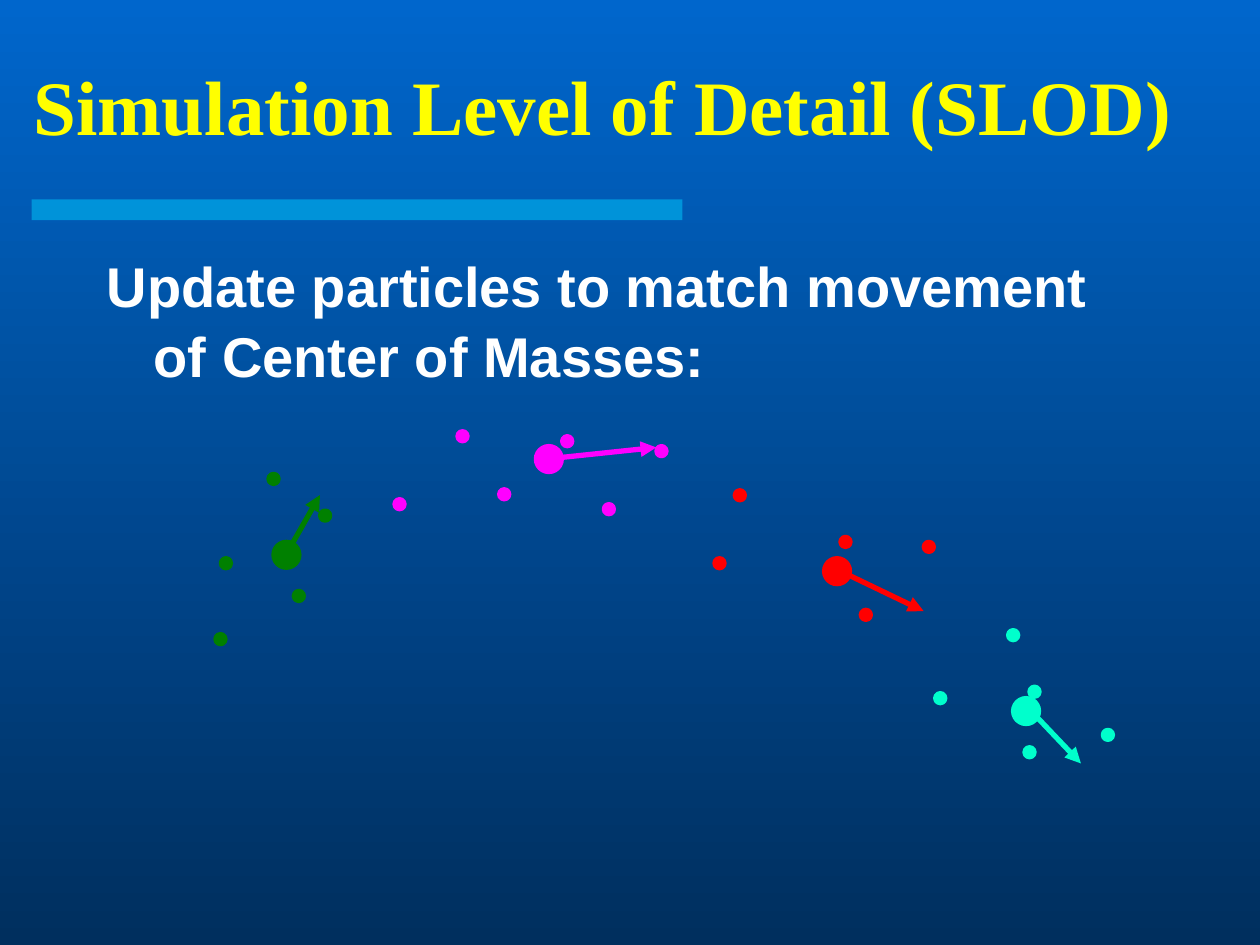
from dataclasses import dataclass

from lxml.etree import SubElement
from pptx import Presentation
from pptx.dml.color import RGBColor
from pptx.enum.shapes import MSO_CONNECTOR, MSO_SHAPE
from pptx.enum.text import MSO_ANCHOR
from pptx.oxml.ns import qn
from pptx.slide import Slide
from pptx.util import Cm, Pt

COLORS = {
    "sky": "0066CC",
    "deep": "002F5E",
    "bar": "00CCFF",
    "title": "FFFF00",
    "body": "FFFFFF",
    "green": "008000",
    "magenta": "FF00FF",
    "red": "FF0000",
    "aqua": "00FFCC",
}
PARTICLE_SIZE = 0.21
MASS_SIZE = 0.53

Point = tuple[float, float]


@dataclass(frozen=True)
class Cluster:
    color: str
    particles: list[Point]
    mass: Point
    arrow_start: Point
    arrow_end: Point


CLUSTERS = [
    Cluster("green",
            [(5.41, 9.55), (6.45, 10.29), (4.45, 11.25), (5.92, 11.91), (4.34, 12.78)],
            (5.51, 10.92), (5.84, 11.05), (6.45, 9.98)),
    Cluster("magenta",
            [(7.95, 10.06), (9.22, 8.69), (10.06, 9.86), (11.33, 8.79), (13.23, 8.99),
             (12.17, 10.16)],
            (10.8, 8.99), (11.33, 9.22), (13.23, 9.02)),
    Cluster("red",
            [(14.81, 9.88), (14.4, 11.25), (16.94, 10.82), (18.62, 10.92), (17.35, 12.29)],
            (16.61, 11.25), (17.04, 11.56), (18.62, 12.32)),
    Cluster("aqua",
            [(20.32, 12.7), (18.85, 13.97), (20.75, 13.84), (20.65, 15.06), (22.23, 14.71)],
            (20.42, 14.07), (20.85, 14.4), (21.79, 15.39)),
]


def rgb(name: str) -> RGBColor:
    return RGBColor.from_string(COLORS[name])


def paint_background(slide: Slide) -> None:
    fill = slide.background.fill
    fill.gradient()
    fill.gradient_angle = 270
    for stop, name, position in zip(fill.gradient_stops, ("sky", "deep"), (0, 1)):
        stop.color.rgb = rgb(name)
        stop.position = position


def add_bar(slide: Slide) -> None:
    bar = slide.shapes.add_shape(MSO_SHAPE.RECTANGLE, Cm(0.64), Cm(4.02), Cm(13.12), Cm(0.42))
    bar.shadow.inherit = False
    bar.fill.solid()
    bar.fill.fore_color.rgb = rgb("bar")
    bar.line.fill.background()
    color = bar.fill._xPr.find(qn("a:solidFill")).find(qn("a:srgbClr"))
    SubElement(color, qn("a:alpha"), val="50000")


def add_text(slide: Slide, text: str, *, left: float, top: float, width: float, height: float,
             font: str, size: float, color: str, anchor: MSO_ANCHOR = MSO_ANCHOR.TOP,
             hanging: float = 0, before: float = 0, spacing: float = 1.0) -> None:
    frame = slide.shapes.add_textbox(Cm(left), Cm(top), Cm(width), Cm(height)).text_frame
    frame.word_wrap = True
    frame.vertical_anchor = anchor
    paragraph = frame.paragraphs[0]
    paragraph.space_before = Pt(before)
    paragraph.line_spacing = spacing
    properties = paragraph._p.get_or_add_pPr()
    properties.set("marL", str(Cm(hanging)))
    properties.set("indent", str(-Cm(hanging)))
    run = paragraph.add_run()
    run.text = text
    run.font.name = font
    run.font.size = Pt(size)
    run.font.bold = True
    run.font.color.rgb = rgb(color)


def add_dot(slide: Slide, corner: Point, size: float, color: str) -> None:
    left, top = corner
    dot = slide.shapes.add_shape(MSO_SHAPE.OVAL, Cm(left), Cm(top), Cm(size), Cm(size))
    dot.shadow.inherit = False
    dot.fill.solid()
    dot.fill.fore_color.rgb = rgb(color)
    dot.line.color.rgb = rgb(color)
    dot.line.width = Pt(2.25)


def add_arrow(slide: Slide, start: Point, end: Point, color: str) -> None:
    ends = [Cm(value) for value in (*start, *end)]
    arrow = slide.shapes.add_connector(MSO_CONNECTOR.STRAIGHT, *ends)
    arrow.line.color.rgb = rgb(color)
    arrow.line.width = Pt(3)
    SubElement(arrow.line._get_or_add_ln(), qn("a:tailEnd"), type="triangle")
    SubElement(arrow._element.spPr, qn("a:effectLst"))


def add_cluster(slide: Slide, cluster: Cluster) -> None:
    for particle in cluster.particles:
        add_dot(slide, particle, PARTICLE_SIZE, cluster.color)
    add_dot(slide, cluster.mass, MASS_SIZE, cluster.color)
    add_arrow(slide, cluster.arrow_start, cluster.arrow_end, cluster.color)


def main() -> None:
    presentation = Presentation()
    presentation.slide_width = Cm(25.4)
    presentation.slide_height = Cm(19.05)
    slide = presentation.slides.add_slide(presentation.slide_layouts[6])
    paint_background(slide)
    add_bar(slide)
    add_text(slide, "Update particles to match movement of Center of Masses:",
             left=1.9, top=4.87, width=21.6, height=11.43, font="Arial", size=32,
             color="body", hanging=0.95, before=8, spacing=1.05)
    add_text(slide, "Simulation Level of Detail (SLOD)",
             left=0.43, top=0.85, width=23.92, height=2.54, font="Times New Roman", size=44,
             color="title", anchor=MSO_ANCHOR.MIDDLE)
    for cluster in CLUSTERS:
        add_cluster(slide, cluster)
    presentation.save("out.pptx")


if __name__ == "__main__":
    main()
